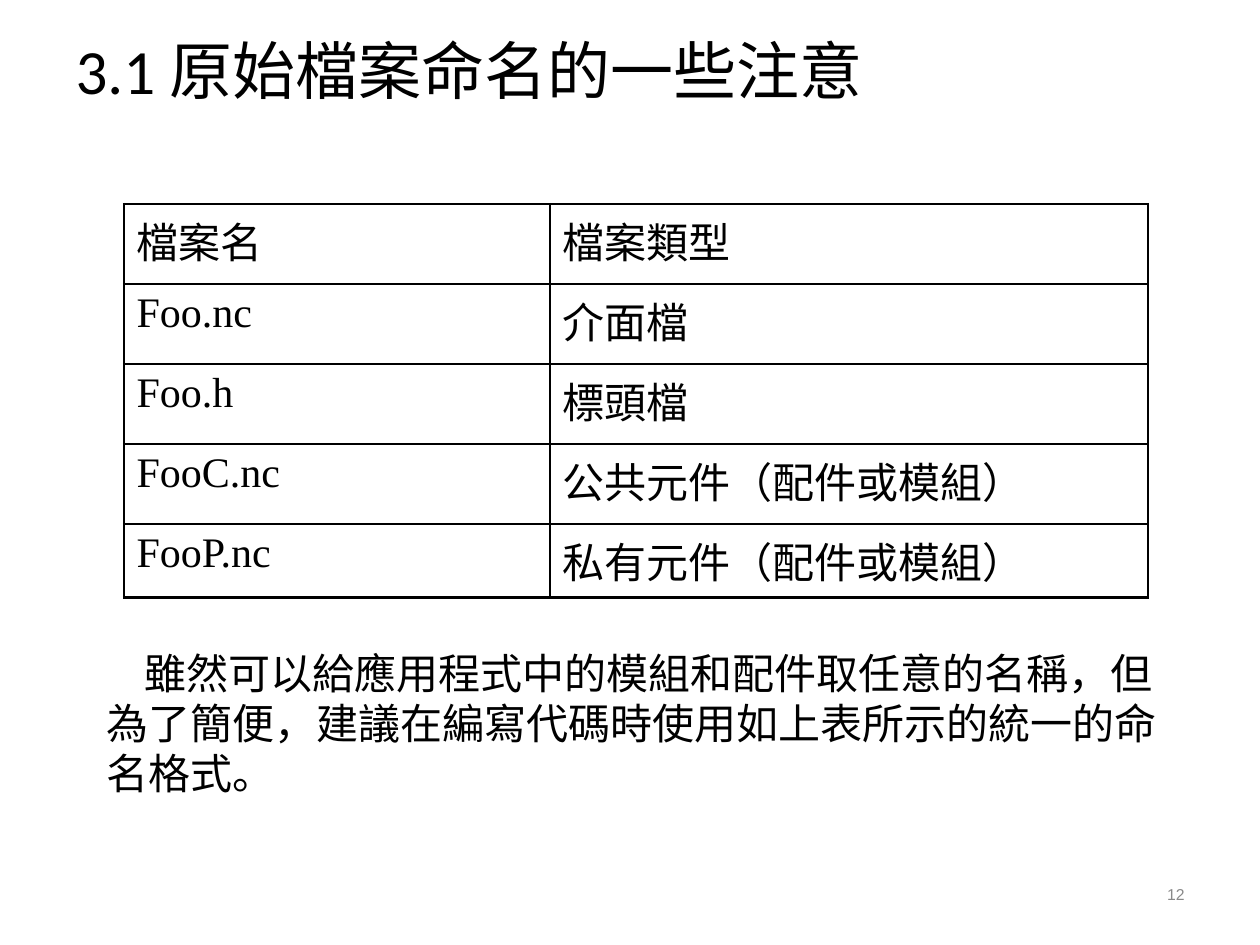
from dataclasses import dataclass

import pptx
import pptx.dml.color
import pptx.enum.text
import pptx.oxml
import pptx.oxml.ns
import pptx.util

EMU_PER_PX = 914400 // 126
CJK_FONT = "Noto Sans CJK SC"
BLACK = "000000"
ALIGN = pptx.enum.text.PP_ALIGN
ANCHOR = pptx.enum.text.MSO_ANCHOR


@dataclass
class Box:
    left: int
    top: int
    width: int
    height: int

    def emu(self) -> list[int]:
        return [px(n) for n in (self.left, self.top, self.width, self.height)]


@dataclass
class FileKind:
    name: str
    kind: str


FILE_KINDS = [
    FileKind("檔案名", "檔案類型"),
    FileKind("Foo.nc", "介面檔"),
    FileKind("Foo.h", "標頭檔"),
    FileKind("FooC.nc", "公共元件（配件或模組）"),
    FileKind("FooP.nc", "私有元件（配件或模組）"),
]
COLUMN_WIDTHS = [426, 598]
ROW_HEIGHTS = [80, 80, 80, 80, 72]


def px(length: int) -> int:
    return length * EMU_PER_PX


def rgb(color: str) -> pptx.dml.color.RGBColor:
    return pptx.dml.color.RGBColor.from_string(color)


def write(frame, text: str, font: str, size: int, color: str = BLACK, align=ALIGN.LEFT):
    """Fill the frame with one styled paragraph and return that paragraph."""
    frame.word_wrap = True
    frame.text = text
    paragraph = frame.paragraphs[0]
    paragraph.alignment = align
    paragraph.font.name = font
    paragraph.font.size = pptx.util.Pt(size)
    paragraph.font.color.rgb = rgb(color)
    defaults = paragraph._p.find(".//" + pptx.oxml.ns.qn("a:defRPr"))
    latin = defaults.find(pptx.oxml.ns.qn("a:latin"))
    latin.addnext(pptx.oxml.parse_xml(
        f'<a:ea {pptx.oxml.ns.nsdecls("a")} typeface="{CJK_FONT}"/>'))
    return paragraph


def outline_cell(cell) -> None:
    """Put a black line on all four sides; lines precede the fill in tcPr."""
    properties = cell._tc.get_or_add_tcPr()
    for position, side in enumerate(("lnL", "lnR", "lnT", "lnB")):
        properties.insert(position, pptx.oxml.parse_xml(
            f'<a:{side} {pptx.oxml.ns.nsdecls("a")} w="{pptx.util.Pt(1.47)}">'
            f'<a:solidFill><a:srgbClr val="{BLACK}"/></a:solidFill></a:{side}>'))


def add_file_table(slide, left: int, top: int) -> None:
    box = Box(left, top, sum(COLUMN_WIDTHS), sum(ROW_HEIGHTS))
    table = slide.shapes.add_table(
        len(ROW_HEIGHTS), len(COLUMN_WIDTHS), *box.emu()).table
    table.first_row = table.horz_banding = False
    for column, width in zip(table.columns, COLUMN_WIDTHS):
        column.width = px(width)
    for row, height, entry in zip(table.rows, ROW_HEIGHTS, FILE_KINDS):
        row.height = px(height)
        for cell, text in zip(row.cells, (entry.name, entry.kind)):
            write(cell.text_frame, text, "Times New Roman", 24)
            cell.fill.background()
            outline_cell(cell)


def main() -> None:
    deck = pptx.Presentation()
    deck.slide_width, deck.slide_height = px(1260), px(945)
    slide = deck.slides.add_slide(deck.slide_layouts[5])

    title = slide.shapes.title
    title.left, title.top, title.width, title.height = Box(63, 38, 1131, 73).emu()
    title.text_frame.auto_size = pptx.enum.text.MSO_AUTO_SIZE.NONE
    title.text_frame.vertical_anchor = ANCHOR.MIDDLE
    heading = write(title.text_frame, "3.1 原始檔案命名的一些注意", "Calibri", 36)
    heading.line_spacing = 0.9

    add_file_table(slide, 124, 204)

    page_number = slide.shapes.add_textbox(*Box(903, 861, 294, 66).emu())
    page_number.text_frame.vertical_anchor = ANCHOR.MIDDLE
    write(page_number.text_frame, "12", "Arial", 9, "898989", ALIGN.RIGHT)

    advice = slide.shapes.add_textbox(*Box(94, 641, 1103, 164).emu())
    paragraph = write(
        advice.text_frame,
        "雖然可以給應用程式中的模組和配件取任意的名稱，但為了簡便，"
        "建議在編寫代碼時使用如上表所示的統一的命名格式。",
        CJK_FONT, 24)
    paragraph._p.get_or_add_pPr().set("indent", str(px(38)))

    deck.save("out.pptx")


if __name__ == "__main__":
    main()
